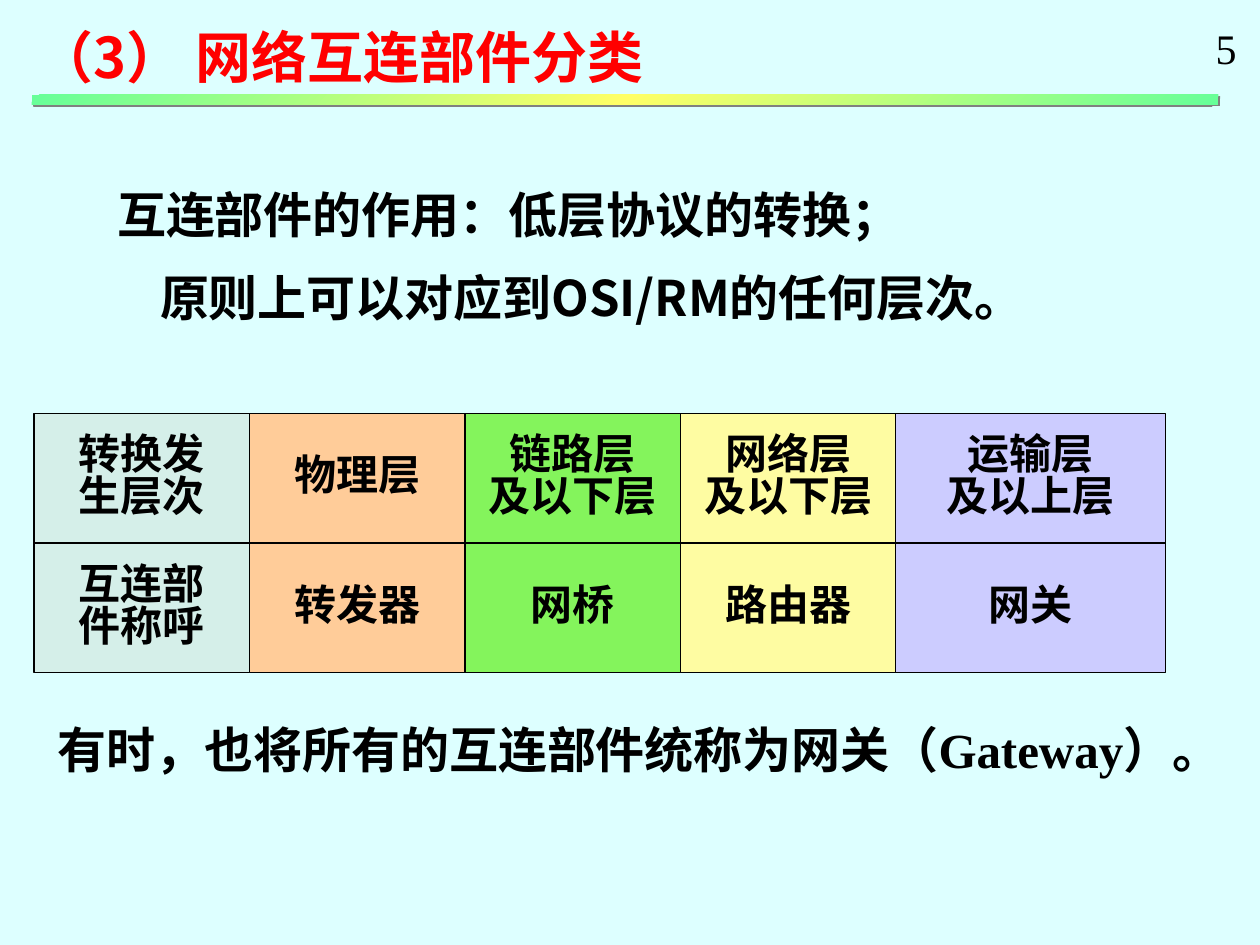
import copy

import pptx
import pptx.dml.color
import pptx.enum.shapes
import pptx.enum.text
import pptx.oxml
import pptx.oxml.ns
import pptx.util

WIDTH, HEIGHT = 10, 7.5
CJK_FONT = "Noto Sans CJK SC"
LATIN_FONT = "Times New Roman"
COLORS = {
    "background": "DDFFFF", "title": "FF0000", "text": "000000",
    "bar_end": "66FF99", "bar_middle": "FFFF66", "shadow": "808080",
    "heading": "D5EFE9", "physical": "FFCC99", "link": "84F45C",
    "network": "FEFCA2", "transport": "CCCCFF",
}
LAYERS = [
    ("heading", "转换发\n生层次", "互连部\n件称呼"),
    ("physical", "物理层", "转发器"),
    ("link", "链路层\n及以下层", "网桥"),
    ("network", "网络层\n及以下层", "路由器"),
    ("transport", "运输层\n及以上层", "网关"),
]
GRID_LEFT, GRID_TOP = 0.27, 3.28
COLUMN_WIDTHS = [1.71] * 4 + [2.14]
ROW_HEIGHT = 1.03


def color(name):
    return pptx.dml.color.RGBColor.from_string(COLORS[name])


def place(left, top, width, height):
    """Turn inches into the four lengths of a box."""
    return [pptx.util.Inches(length) for length in (left, top, width, height)]


def xml(text):
    namespace = pptx.oxml.ns.nsdecls("a")
    return pptx.oxml.parse_xml(text.replace(">", f" {namespace}>", 1))


def format_text(text_frame, size, font=LATIN_FONT, bold=True, color_name="text"):
    for paragraph in text_frame.paragraphs:
        for run in paragraph.runs:
            run.font.size = pptx.util.Pt(size)
            run.font.bold = bold
            run.font.name = font
            run.font.color.rgb = color(color_name)
            east_asian = xml("<a:ea></a:ea>")
            east_asian.set("typeface", CJK_FONT)
            run.font._element.find(pptx.oxml.ns.qn("a:latin")).addnext(east_asian)


def fill_placeholder(placeholder, box, text):
    placeholder.left, placeholder.top, placeholder.width, placeholder.height = place(*box)
    text_frame = placeholder.text_frame
    text_frame.text = text
    text_frame.auto_size = pptx.enum.text.MSO_AUTO_SIZE.NONE
    text_frame.vertical_anchor = pptx.enum.text.MSO_ANCHOR.TOP
    for paragraph in text_frame.paragraphs:
        paragraph.alignment = pptx.enum.text.PP_ALIGN.LEFT
        paragraph.space_before = pptx.util.Pt(0)
    return text_frame


def add_title(slide):
    text_frame = fill_placeholder(
        slide.shapes.title, (0.2, 0.13, 5.83, 0.64), "（3） 网络互连部件分类")
    format_text(text_frame, 32, CJK_FONT, color_name="title")


def add_body(slide):
    text_frame = fill_placeholder(
        slide.placeholders[1], (0.83, 1.23, 7.9, 1.41),
        "互连部件的作用：低层协议的转换；\n原则上可以对应到OSI/RM的任何层次。")
    for paragraph, margin in zip(text_frame.paragraphs, (0, 0.34)):
        paragraph.line_spacing = 1.4
        properties = paragraph._p.get_or_add_pPr()
        properties.set("marL", str(pptx.util.Inches(margin)))
        properties.set("indent", "0")
        properties.append(xml("<a:buNone></a:buNone>"))
    format_text(text_frame, 28, CJK_FONT)


def add_label(slide, box, text, size, bold):
    text_frame = slide.shapes.add_textbox(*place(*box)).text_frame
    text_frame.word_wrap = False
    text_frame.text = text
    format_text(text_frame, size, bold=bold)


def add_gradient_bar(slide):
    bar = slide.shapes.add_shape(
        pptx.enum.shapes.MSO_SHAPE.RECTANGLE, *place(0.25, 0.75, 9.42, 0.08))
    bar.line.fill.background()
    bar.fill.gradient()
    bar.fill.gradient_angle = 135
    properties = bar._element.spPr
    stops = properties.find(".//" + pptx.oxml.ns.qn("a:gsLst"))
    stops.insert(1, copy.deepcopy(stops[0]))
    names = ("bar_end", "bar_middle", "bar_end")
    for stop, position, name in zip(bar.fill.gradient_stops, (0, 0.5, 1), names):
        stop.position = position
        stop.color.rgb = color(name)
    bar.shadow.inherit = False
    properties.find(pptx.oxml.ns.qn("a:effectLst")).append(xml(
        '<a:outerShdw dist="17780" dir="2700000" algn="ctr" rotWithShape="0">'
        f'<a:srgbClr val="{COLORS["shadow"]}"/></a:outerShdw>'))


def add_cell(group, box, text, fill_name):
    cell = group.shapes.add_shape(
        pptx.enum.shapes.MSO_SHAPE.RECTANGLE, *place(*box))
    cell.shadow.inherit = False
    cell.fill.solid()
    cell.fill.fore_color.rgb = color(fill_name)
    cell.line.color.rgb = color("text")
    cell.line.width = pptx.util.Pt(0.75)
    text_frame = cell.text_frame
    text_frame.word_wrap = False
    text_frame.vertical_anchor = pptx.enum.text.MSO_ANCHOR.MIDDLE
    text_frame.text = text
    for paragraph in text_frame.paragraphs:
        paragraph.alignment = pptx.enum.text.PP_ALIGN.CENTER
        paragraph.line_spacing = 0.83
    format_text(text_frame, 24)


def add_layer_grid(slide):
    group = slide.shapes.add_group_shape()
    for column, (fill_name, *texts) in enumerate(LAYERS):
        left = GRID_LEFT + sum(COLUMN_WIDTHS[:column])
        for row, text in enumerate(texts):
            box = (left, GRID_TOP + row * ROW_HEIGHT, COLUMN_WIDTHS[column], ROW_HEIGHT)
            add_cell(group, box, text, fill_name)


def main():
    presentation = pptx.Presentation()
    presentation.slide_width = pptx.util.Inches(WIDTH)
    presentation.slide_height = pptx.util.Inches(HEIGHT)
    slide = presentation.slides.add_slide(presentation.slide_layouts[1])
    slide.background.fill.solid()
    slide.background.fill.fore_color.rgb = color("background")
    add_title(slide)
    add_body(slide)
    add_layer_grid(slide)
    add_label(slide, (9.55, 0.13, 0.36, 0.5), "5", 24, False)
    add_gradient_bar(slide)
    add_label(slide, (0.36, 5.66, 9.62, 0.57),
              "有时，也将所有的互连部件统称为网关（Gateway）。", 28, True)
    presentation.save("out.pptx")


if __name__ == "__main__":
    main()
